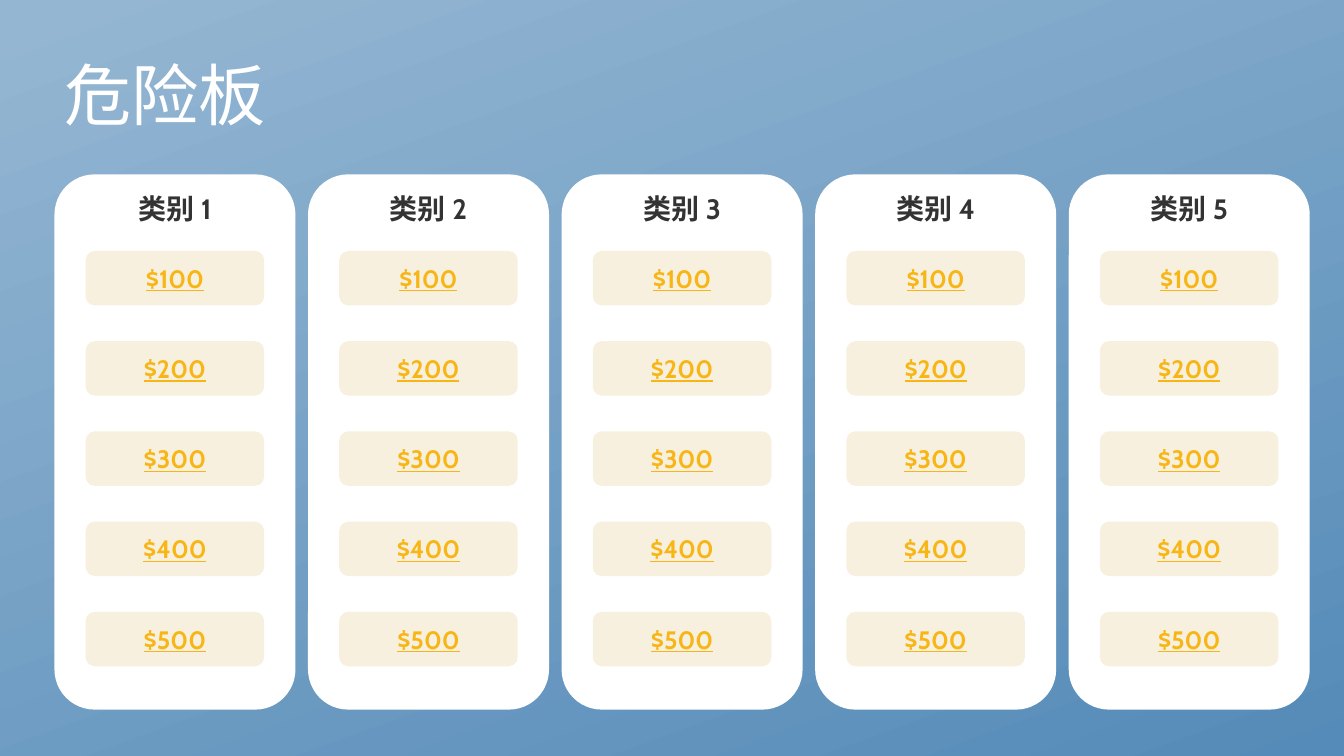
from dataclasses import dataclass

from pptx import Presentation
from pptx.dml.color import RGBColor
from pptx.enum.shapes import MSO_SHAPE
from pptx.enum.text import MSO_ANCHOR, MSO_AUTO_SIZE, PP_ALIGN
from pptx.slide import Slide
from pptx.util import Inches, Pt

# Grid of the board, in inches
BOARD_LEFT, BOARD_TOP = 0.54, 1.73
COLUMN_STEP, COLUMN_WIDTH, COLUMN_HEIGHT = 2.515, 2.39, 5.31
PRIZE_TOP, ROW_STEP = 2.49, 0.895
PRIZE_WIDTH, PRIZE_HEIGHT = 1.77, 0.54
PRIZE_INSET = (COLUMN_WIDTH - PRIZE_WIDTH) / 2

CATEGORIES = [f"类别 {number}" for number in range(1, 6)]
PRIZES = [f"${amount}" for amount in range(100, 600, 100)]


@dataclass(frozen=True)
class CardStyle:
    width: float
    height: float
    fill: str
    ink: str
    size: int
    anchor: MSO_ANCHOR
    underline: bool


CATEGORY = CardStyle(COLUMN_WIDTH, COLUMN_HEIGHT, "FFFFFF", "333333", 20,
                     MSO_ANCHOR.TOP, False)
PRIZE = CardStyle(PRIZE_WIDTH, PRIZE_HEIGHT, "F7F0DE", "F7B615", 18,
                  MSO_ANCHOR.MIDDLE, True)


def colour(value: str) -> RGBColor:
    return RGBColor.from_string(value)


def paint_background(slide: Slide) -> None:
    fill = slide.background.fill
    fill.gradient()
    fill.gradient_angle = 290  # counter-clockwise
    for stop, (position, shade) in zip(
            fill.gradient_stops, [(0.02, "94B6D2"), (1, "558BB8")]):
        stop.position = position
        stop.color.rgb = colour(shade)


def write_title(slide: Slide, text: str) -> None:
    title = slide.shapes.title
    title.left, title.top = Inches(BOARD_LEFT), Inches(0.25)
    title.width, title.height = Inches(11.5), Inches(1.45)
    frame = title.text_frame
    frame.text = text
    frame.auto_size = MSO_AUTO_SIZE.NONE
    frame.vertical_anchor = MSO_ANCHOR.MIDDLE
    line = frame.paragraphs[0]
    line.alignment = PP_ALIGN.LEFT
    line.line_spacing = 0.9
    font = line.runs[0].font
    font.name, font.size = "Open Sans", Pt(48)
    font.color.rgb = colour("FFFFFF")


def add_card(slide: Slide, text: str, left: float, top: float,
             style: CardStyle) -> None:
    card = slide.shapes.add_shape(
        MSO_SHAPE.FLOWCHART_ALTERNATE_PROCESS, Inches(left), Inches(top),
        Inches(style.width), Inches(style.height))
    card.shadow.inherit = False
    card.fill.solid()
    card.fill.fore_color.rgb = colour(style.fill)
    card.line.fill.background()
    frame = card.text_frame
    frame.text = text
    frame.word_wrap = True
    frame.vertical_anchor = style.anchor
    line = frame.paragraphs[0]
    line.alignment = PP_ALIGN.CENTER
    font = line.runs[0].font
    font.name, font.size, font.bold = "Cabin", Pt(style.size), True
    font.underline = style.underline
    font.color.rgb = colour(style.ink)


def main() -> None:
    deck = Presentation()
    deck.slide_width, deck.slide_height = Inches(13.33), Inches(7.5)
    slide = deck.slides.add_slide(deck.slide_layouts[5])
    paint_background(slide)
    write_title(slide, "危险板")

    # One panel per category, with its prizes below the heading
    for column, category in enumerate(CATEGORIES):
        left = BOARD_LEFT + column * COLUMN_STEP
        add_card(slide, category, left, BOARD_TOP, CATEGORY)
        for row, prize in enumerate(PRIZES):
            add_card(slide, prize, left + PRIZE_INSET,
                     PRIZE_TOP + row * ROW_STEP, PRIZE)

    deck.save("out.pptx")


if __name__ == "__main__":
    main()
